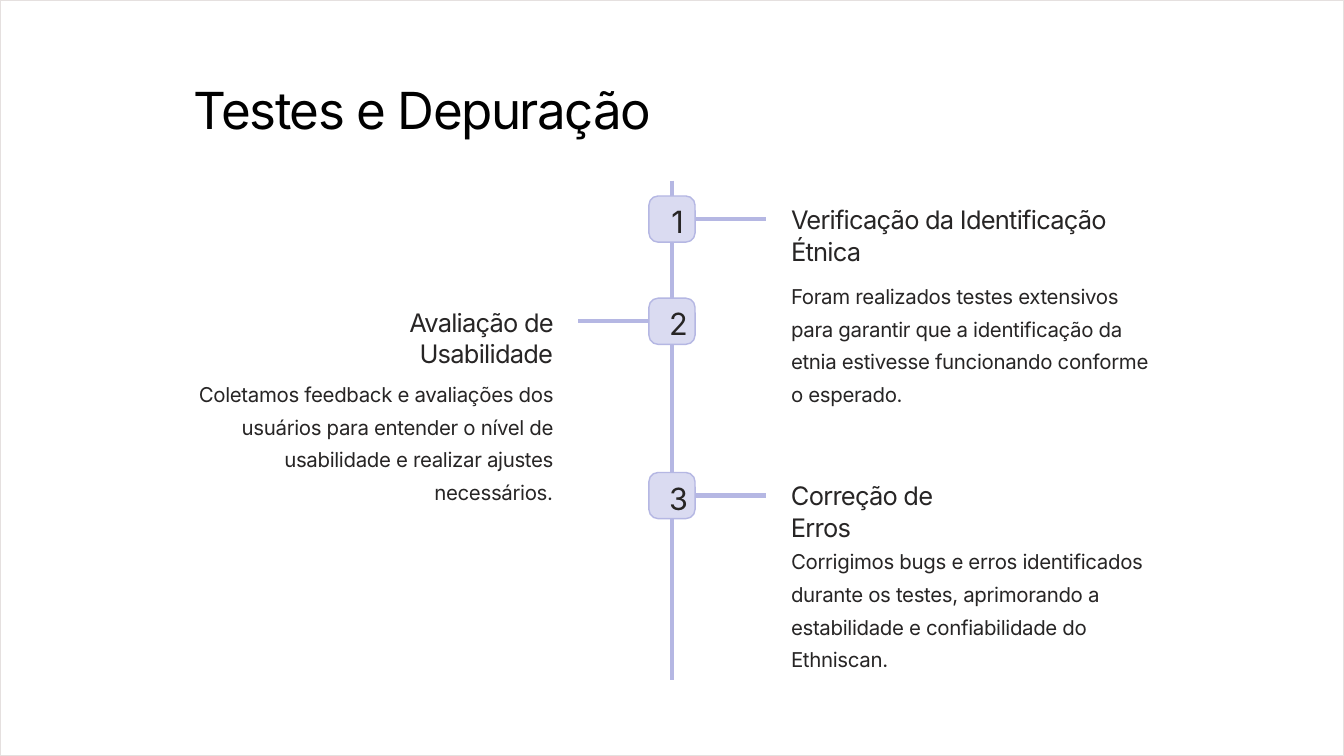
import pptx
import pptx.dml.color
import pptx.enum.shapes
import pptx.enum.text
import pptx.oxml.ns
import pptx.util
from lxml import etree

PX = 9525
WIDTH, HEIGHT = 1920, 1080
CENTER = WIDTH // 2
BADGE = 66
STUB = 101
LILAC = "B5B7E3"
INK = "272525"

LEFT = pptx.enum.text.PP_ALIGN.LEFT
CENTERED = pptx.enum.text.PP_ALIGN.CENTER
RIGHT = pptx.enum.text.PP_ALIGN.RIGHT

TITLE_STYLE = (54.7, 68.3, -1.6, "000000")
NUMBER_STYLE = (32.8, 41, -0.4, INK)
HEADING_STYLE = (27.3, 34.2, -0.8, INK)
BODY_STYLE = (21.9, 35, -0.4, INK)

STEPS = [
    ("1", 2, 280, RIGHT,
     "Verificação da Identificação Étnica", (1130, 290, 513, 84),
     "Foram realizados testes extensivos para garantir que a identificação "
     "da etnia estivesse funcionando conforme o esperado.", (1130, 394, 513, 180)),
    ("2", 8, 426, LEFT,
     "Avaliação de Usabilidade", (396, 436, 394, 38),
     "Coletamos feedback e avaliações dos usuários para entender o nível de "
     "usabilidade e realizar ajustes necessários.", (277, 534, 513, 185)),
    ("3", 8, 675, RIGHT,
     "Correção de Erros", (1130, 684, 280, 38),
     "Corrigimos bugs e erros identificados durante os testes, aprimorando a "
     "estabilidade e confiabilidade do Ethniscan.", (1130, 773, 513, 185)),
]


def color(value):
    return pptx.dml.color.RGBColor.from_string(value)


def px(*lengths):
    return [pptx.util.Emu(length * PX) for length in lengths]


def add_panel(page, kind, area, fill, line):
    panel = page.shapes.add_shape(kind, *px(*area))
    panel.shadow.inherit = False
    panel.fill.solid()
    panel.fill.fore_color.rgb = color(fill)
    panel.line.color.rgb = color(line)
    panel.line.width = pptx.util.Pt(1.5)
    return panel


def add_line(page, start, end):
    line = page.shapes.add_connector(
        pptx.enum.shapes.MSO_CONNECTOR.STRAIGHT, *px(*start, *end))
    line.line.color.rgb = color(LILAC)
    line.line.width = pptx.util.Pt(4.5)
    etree.SubElement(line._element.spPr, pptx.oxml.ns.qn("a:effectLst"))
    return line


def add_text(page, text, area, style, align=LEFT):
    size, leading, tracking, ink = style
    box = page.shapes.add_textbox(*px(*area))
    frame = box.text_frame
    frame.word_wrap = True
    frame.auto_size = pptx.enum.text.MSO_AUTO_SIZE.SHAPE_TO_FIT_TEXT
    frame.margin_left = frame.margin_right = 0
    frame.margin_top = frame.margin_bottom = 0
    para = frame.paragraphs[0]
    para.text = text
    para.alignment = align
    para.line_spacing = pptx.util.Pt(leading)
    para.font.name = "Inter"
    para.font.size = pptx.util.Pt(size)
    para.font.color.rgb = color(ink)
    defaults = para._p.pPr.find(pptx.oxml.ns.qn("a:defRPr"))
    defaults.set("spc", str(round(tracking * 100)))


def add_step(page, number, number_width, top, side,
             heading, heading_area, body, body_area):
    left = CENTER - BADGE // 2
    middle = top + BADGE // 2
    badge = add_panel(page, pptx.enum.shapes.MSO_SHAPE.ROUNDED_RECTANGLE,
                      (left, top, BADGE, BADGE), "DADBF1", LILAC)
    badge.adjustments[0] = 0.2
    if side == RIGHT:
        edge, reach, site, align = left + BADGE, STUB, 3, LEFT
    else:
        edge, reach, site, align = left, -STUB, 1, RIGHT
    stub = add_line(page, (edge, middle), (edge + reach, middle))
    stub.begin_connect(badge, site)
    add_text(page, number, (CENTER - number_width // 2, top + 8, number_width, 48),
             NUMBER_STYLE, CENTERED)
    add_text(page, heading, heading_area, HEADING_STYLE, align)
    add_text(page, body, body_area, BODY_STYLE, align)


def main():
    deck = pptx.Presentation()
    deck.slide_width, deck.slide_height = px(WIDTH, HEIGHT)
    page = deck.slides.add_slide(deck.slide_layouts[6])
    add_panel(page, pptx.enum.shapes.MSO_SHAPE.RECTANGLE,
              (0, 0, WIDTH, HEIGHT), "FFFFFF", "E5E0DF")
    add_text(page, "Testes e Depuração", (277, 109, 655, 85), TITLE_STYLE)
    add_line(page, (CENTER, 258), (CENTER, 972))
    for step in STEPS:
        add_step(page, *step)
    deck.save("out.pptx")


if __name__ == "__main__":
    main()
